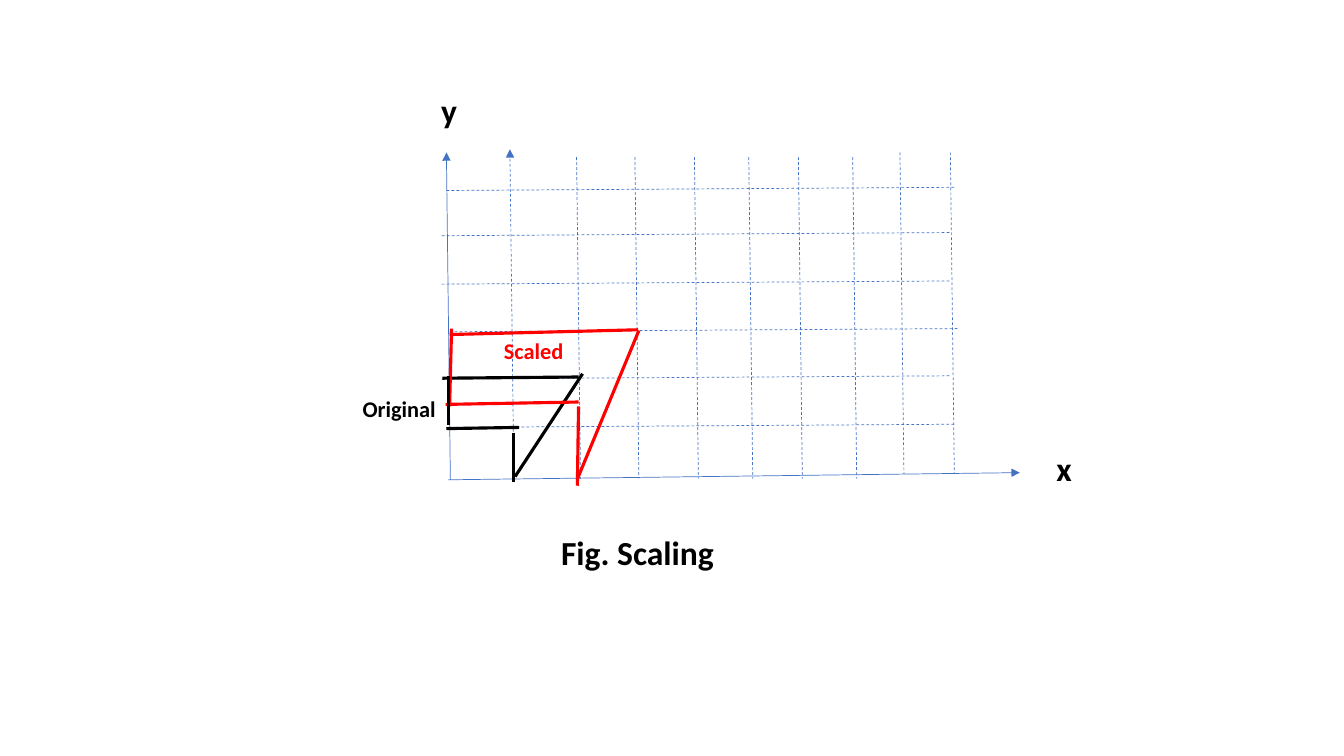
from dataclasses import dataclass

import lxml.etree
import pptx
import pptx.dml.color
import pptx.enum.dml
import pptx.enum.shapes
import pptx.enum.text
import pptx.oxml.ns
import pptx.util

Cm = pptx.util.Cm
COLOURS = {"grid": "4472C4", "original": "000000", "scaled": "FF0000", "text": "000000"}
FONT = "Calibri"


@dataclass(frozen=True)
class Line:
    """A straight line; lengths in centimetres, width in points."""
    start: tuple[float, float]
    end: tuple[float, float]
    colour: str = "grid"
    width: float = 0.5
    dashed: bool = False
    arrow: bool = False


@dataclass(frozen=True)
class Label:
    """A bold label; box lengths in centimetres, size in points."""
    text: str
    box: tuple[float, float, float, float]
    size: int = 24
    colour: str = "text"


def rgb(name: str) -> pptx.dml.color.RGBColor:
    return pptx.dml.color.RGBColor.from_string(COLOURS[name])


def draw_line(slide, line: Line) -> None:
    connector = slide.shapes.add_connector(
        pptx.enum.shapes.MSO_CONNECTOR.STRAIGHT,
        *(Cm(value) for value in line.start + line.end))
    connector.line.color.rgb = rgb(line.colour)
    connector.line.width = pptx.util.Pt(line.width)
    if line.dashed:
        connector.line.dash_style = pptx.enum.dml.MSO_LINE.DASH
    qualified = pptx.oxml.ns.qn
    properties = connector.element.spPr
    if line.arrow:
        outline = properties.find(qualified("a:ln"))
        lxml.etree.SubElement(outline, qualified("a:tailEnd"), type="triangle")
    lxml.etree.SubElement(properties, qualified("a:effectLst"))


def draw_label(slide, label: Label) -> None:
    shape = slide.shapes.add_textbox(*(Cm(value) for value in label.box))
    frame = shape.text_frame
    frame.word_wrap = True
    frame.auto_size = pptx.enum.text.MSO_AUTO_SIZE.SHAPE_TO_FIT_TEXT
    paragraph = frame.paragraphs[0]
    paragraph.text = label.text
    font = paragraph.font
    font.name, font.size, font.bold = FONT, pptx.util.Pt(label.size), True
    font.color.rgb = rgb(label.colour)


# Axes, and the first grid line with its arrowhead
AXES = [
    Line((11.35, 12.09), (11.25, 3.84), arrow=True),
    Line((11.3, 12.09), (25.7, 11.91), arrow=True),
    Line((12.95, 12.01), (12.85, 3.76), dashed=True, arrow=True),
]

# Dashed grid: every column leans and every row rises by the same amount
COLUMN_LEAN, COLUMN_HEIGHT = 0.1, 8.1
ROW_WIDTH, ROW_RISE = 12.8, 0.08
COLUMN_TOPS = [(x, 3.96) for x in (14.53, 16, 17.5, 18.87, 20.12, 21.49)]
COLUMN_TOPS += [(x, 3.84) for x in (22.68, 23.95)]
ROW_STARTS = [(11.25, 10.77), (11.13, 9.55), (11.33, 8.36),
              (11.13, 7.16), (11.13, 5.94), (11.25, 4.8)]
GRID = [Line((x, y), (x + COLUMN_LEAN, y + COLUMN_HEIGHT), dashed=True)
        for x, y in COLUMN_TOPS]
GRID += [Line((x, y), (x + ROW_WIDTH, y - ROW_RISE), dashed=True)
         for x, y in ROW_STARTS]

# Edges of the two figures: top, lower edge, stem, slant, left side
FIGURES = {
    "original": [
        ((11.15, 9.53), (14.58, 9.5)),
        ((11.25, 10.8), (13.08, 10.77)),
        ((12.93, 10.9), (12.93, 12.14)),
        ((14.68, 9.42), (12.98, 12.01)),
        ((11.3, 9.47), (11.3, 10.72)),
    ],
    "scaled": [
        ((11.33, 8.43), (16.08, 8.31)),
        ((11.23, 10.19), (14.58, 10.13)),
        ((14.58, 10.24), (14.55, 12.24)),
        ((16.1, 8.33), (14.55, 12.07)),
        ((11.38, 8.28), (11.33, 10.24)),
    ],
}
# The left side of the original figure lies above everything else
EDGES = [Line(start, end, name, 2.25)
         for name, edges in FIGURES.items() for start, end in edges]
EDGES.append(EDGES.pop(len(FIGURES["original"]) - 1))

LABELS = [
    Label("Original", (8.89, 9.83, 2.59, 0.94), 16, "original"),
    Label("Scaled", (12.45, 8.38, 3.28, 0.94), 16, "scaled"),
    Label("x", (26.37, 11.15, 0.76, 1.27)),
    Label("y", (10.87, 2.13, 0.76, 1.27)),
    Label("Fig. Scaling", (13.89, 13.28, 6.07, 1.27)),
]

# Build the slide
presentation = pptx.Presentation()
presentation.slide_width, presentation.slide_height = Cm(33.87), Cm(19.05)
slide = presentation.slides.add_slide(presentation.slide_layouts[6])
for line in AXES + GRID + EDGES:
    draw_line(slide, line)
for label in LABELS:
    draw_label(slide, label)
presentation.save("out.pptx")
